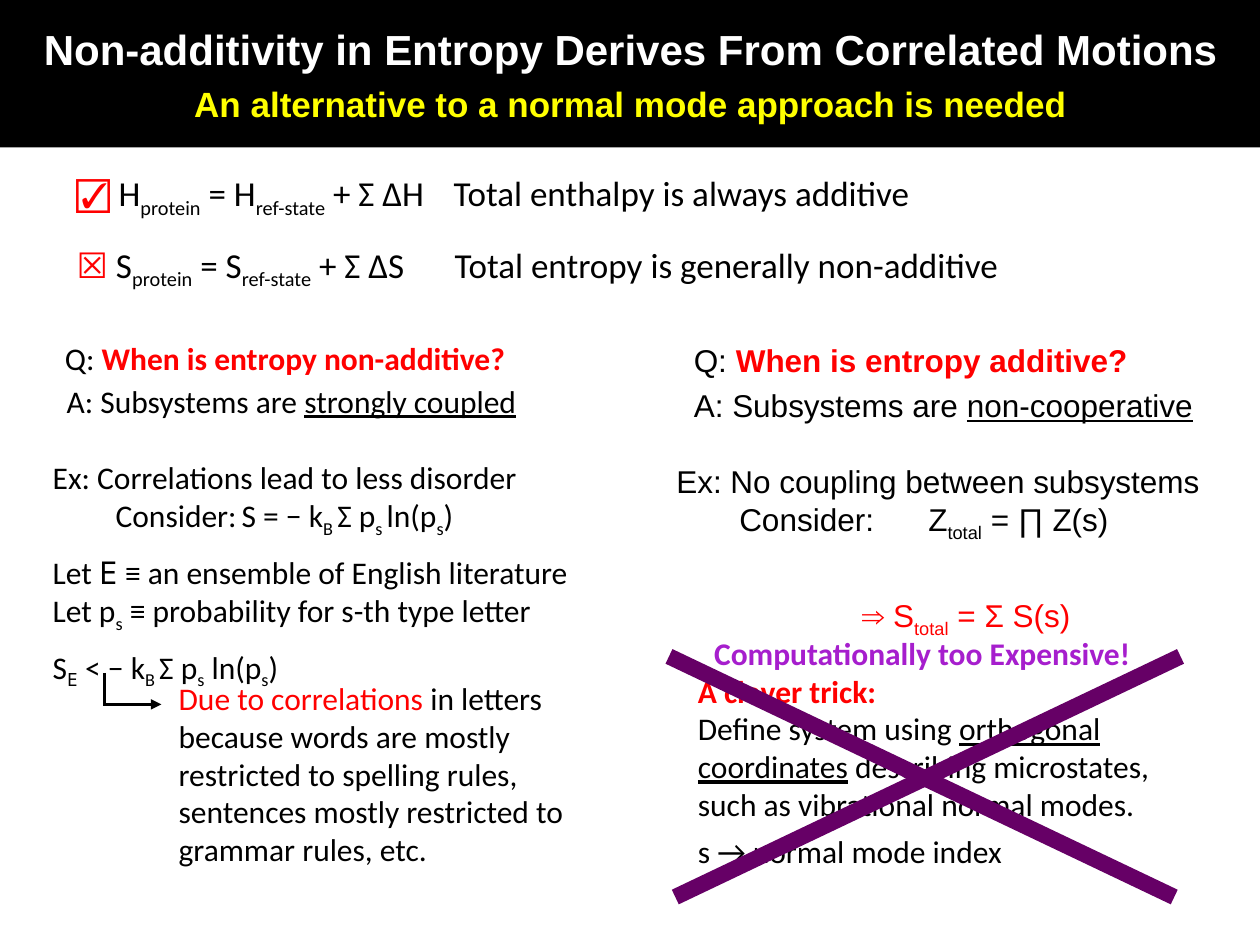
from lxml import etree
from pptx import Presentation
from pptx.dml.color import RGBColor
from pptx.enum.shapes import MSO_CONNECTOR
from pptx.enum.text import MSO_ANCHOR, MSO_AUTO_SIZE, PP_ALIGN
from pptx.oxml.ns import qn
from pptx.util import Pt

COLORS = {"black": "000000", "white": "FFFFFF", "yellow": "FFFF00",
          "red": "FF0000", "violet": "A61ECD", "purple": "660066"}

RED = {"color": "red"}
RED_BOLD = {"color": "red", "bold": True}
UNDERLINED = {"underline": True}
SUB = {"subscript": True}
MONO = {"name": "Noto Sans Mono"}
VIOLET_BOLD = {"color": "violet", "bold": True}

# A paragraph is (layout, runs); a run is plain text or (text, format).
TITLE = [
    ({"align": PP_ALIGN.CENTER}, [
        ("Non-additivity in Entropy Derives From Correlated Motions",
         {"color": "white", "bold": True})]),
    ({"align": PP_ALIGN.CENTER, "before": 5}, [
        ("An alternative to a normal mode approach is needed",
         {"color": "yellow", "bold": True, "size": Pt(20)})]),
]
ENTHALPY = [
    ({"tabs": [225]}, [
        ("☑ ", RED_BOLD), "H", ("protein", SUB), " = H", ("ref-state", SUB),
        " + Σ ΔH\tTotal enthalpy is always additive"]),
]
ENTROPY = [
    ({"tabs": [220]}, [
        ("☒", RED_BOLD), " S", ("protein", SUB), " = S", ("ref-state", SUB),
        " + Σ ΔS\tTotal entropy is generally non-additive"]),
]
ADDITIVE = [
    ({"indent": 10}, ["Q: ", ("When is entropy additive?", RED_BOLD)]),
    ({"indent": 10, "before": 4}, ["A: Subsystems are ", ("non-cooperative", UNDERLINED)]),
    ({"before": 22}, ["Ex: No coupling between subsystems"]),
    ({"tabs": [32, 129]}, ["\tConsider:\tZ", ("total", SUB), " = ∏ Z(s)"]),
    ({"indent": 106, "before": 30}, [
        ("⇒ S", RED), ("total", RED | SUB), (" = Σ S(s)", RED)]),
]
NON_ADDITIVE = [
    ({"indent": 7}, ["Q: ", ("When is entropy non-additive?", RED_BOLD)]),
    ({"indent": 8, "before": 3}, ["A: Subsystems are ", ("strongly coupled", UNDERLINED)]),
    ({"before": 22}, ["Ex: Correlations lead to less disorder"]),
    ({"tabs": [24, 105]}, [
        "\tConsider:\tS = − k", ("B ", SUB), "Σ p", ("s ", SUB), "ln(p", ("s", SUB), ")"]),
    ({"before": 8}, ["Let ", ("E", MONO), " ≡ an ensemble of English literature"]),
    ({}, ["Let p", ("s", SUB), " ≡ probability for s-th type letter"]),
    ({"before": 8}, [
        "S", ("E", MONO | SUB), " < − k", ("B ", SUB), "Σ p", ("s", SUB),
        " ln(p", ("s", SUB), ")"]),
]
TRICK = [
    ({}, [("A clever trick:", RED_BOLD)]),
    ({}, ["Define system using ", ("orthogonal coordinates", UNDERLINED),
          " describing microstates,"]),
    ({}, ["such as vibrational normal modes."]),
    ({"before": 5.5}, ["s → normal mode index"]),
]
CORRELATIONS = [
    ({}, [("Due to correlations", RED),
          " in letters because words are mostly restricted to spelling rules, "
          "sentences mostly restricted to grammar rules, etc."]),
]
VERDICT = [({}, [("Computationally too Expensive!", VIOLET_BOLD)])]

# left, top, width, height, paragraphs, font name, font size
TEXT_BOXES = [
    (36.7, 135.4, 648, 36.7, ENTROPY, "Calibri", 20),
    (379.4, 191.5, 314.6, 164.9, ADDITIVE, "Arial", 18),
    (23, 190, 339.8, 195.8, NON_ADDITIVE, "Calibri", 18),
    (391.7, 380.2, 296.6, 121.7, TRICK, "Calibri", 18),
    (95, 384.5, 243.4, 115.2, CORRELATIONS, "Calibri", 18),
]
VERDICT_BOX = (401, 358.6, 253.4, 28.8, VERDICT, "Calibri", 18)

# start x, start y, end x, end y, color, width, arrowhead
ELBOW_LINES = [
    (59.8, 384.5, 59.8, 402.5, "black", 2, False),
    (59, 402.5, 92.2, 402.5, "black", 2, True),
]
CROSS_LINES = [
    (385.9, 512.6, 674.6, 375.1, "purple", 9.25, False),
    (382.3, 375.1, 671, 512.6, "purple", 9.25, False),
]


def rgb(color):
    return RGBColor.from_string(COLORS[color])


def format_paragraph(paragraph, layout):
    properties = paragraph._p.get_or_add_pPr()
    properties.set("marL", str(Pt(layout.get("indent", 0))))
    properties.set("indent", "0")
    etree.SubElement(properties, qn("a:buNone"))
    if "tabs" in layout:
        tab_list = etree.SubElement(properties, qn("a:tabLst"))
        for position in layout["tabs"]:
            etree.SubElement(tab_list, qn("a:tab"), pos=str(Pt(position)), algn="l")
    paragraph.alignment = layout.get("align", PP_ALIGN.LEFT)
    paragraph.space_before = Pt(layout.get("before", 0))


def add_run(paragraph, text, style):
    run = paragraph.add_run()
    run.text = text
    for attribute, value in style.items():
        if attribute == "color":
            run.font.color.rgb = rgb(value)
        elif attribute == "subscript":
            run.font._element.set("baseline", "-25000")
        else:
            setattr(run.font, attribute, value)


def fill_text(shape, left, top, width, height, paragraphs, font, size):
    """Place the shape and write its paragraphs in one base font."""
    place = {"left": left, "top": top, "width": width, "height": height}
    for attribute, value in place.items():
        setattr(shape, attribute, Pt(value))
    frame = shape.text_frame
    frame.word_wrap = True
    frame.auto_size = MSO_AUTO_SIZE.NONE
    base = {"name": font, "size": Pt(size), "color": "black"}
    for index, (layout, runs) in enumerate(paragraphs):
        paragraph = frame.add_paragraph() if index else frame.paragraphs[0]
        format_paragraph(paragraph, layout)
        for run in runs:
            text, style = (run, {}) if isinstance(run, str) else run
            add_run(paragraph, text, base | style)


def add_text_box(slide, *box):
    shape = slide.shapes.add_textbox(0, 0, 0, 0)
    fill_text(shape, *box)
    return shape


def add_line(slide, start_x, start_y, end_x, end_y, color, width, arrowhead):
    line = slide.shapes.add_connector(
        MSO_CONNECTOR.STRAIGHT, Pt(start_x), Pt(start_y), Pt(end_x), Pt(end_y))
    line.line.color.rgb = rgb(color)
    line.line.width = Pt(width)
    if arrowhead:
        etree.SubElement(line.line._get_or_add_ln(), qn("a:tailEnd"), type="triangle")
    etree.SubElement(line._element.spPr, qn("a:effectLst"))


def main():
    presentation = Presentation()
    presentation.slide_width, presentation.slide_height = Pt(720), Pt(540)
    slide = presentation.slides.add_slide(presentation.slide_layouts[1])

    title, body = slide.placeholders
    fill_text(title, -3.6, 0, 728, 84.2, TITLE, "Arial", 24)
    title.text_frame.vertical_anchor = MSO_ANCHOR.MIDDLE
    title.fill.solid()
    title.fill.fore_color.rgb = rgb("black")
    fill_text(body, 36, 94.3, 648, 39.6, ENTHALPY, "Calibri", 20)

    for box in TEXT_BOXES:
        add_text_box(slide, *box)
    for line in ELBOW_LINES + CROSS_LINES:
        add_line(slide, *line)
    add_text_box(slide, *VERDICT_BOX).text_frame.word_wrap = False

    presentation.save("out.pptx")


if __name__ == "__main__":
    main()
